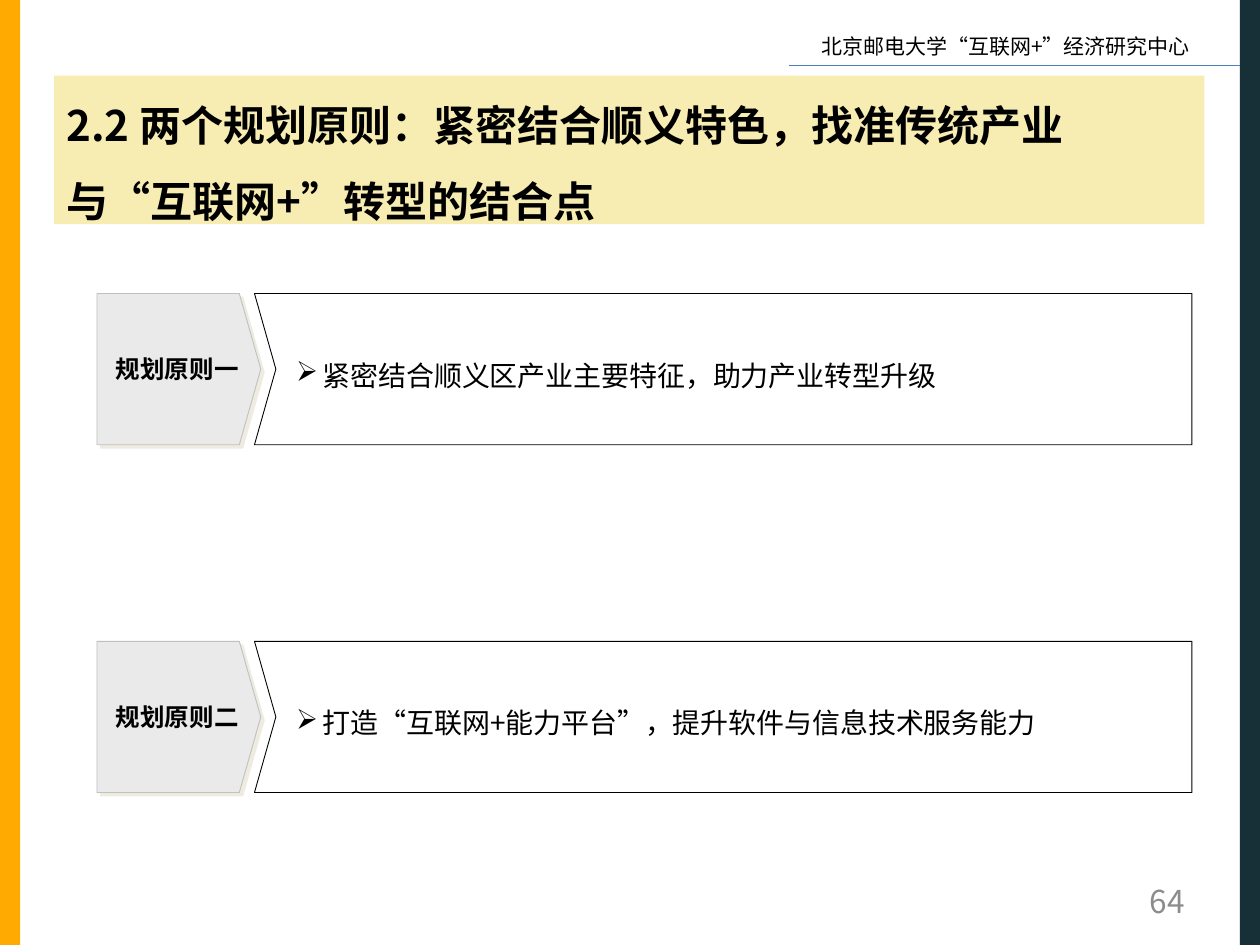
from lxml.etree import SubElement
from pptx import Presentation
from pptx.dml.color import RGBColor
from pptx.enum.shapes import MSO_CONNECTOR, MSO_SHAPE
from pptx.enum.text import MSO_ANCHOR, PP_ALIGN
from pptx.oxml.ns import qn
from pptx.util import Inches, Pt

BLACK = RGBColor(0x00, 0x00, 0x00)
ORANGE = RGBColor(0xFF, 0xAA, 0x00)
NAVY = RGBColor(0x17, 0x2F, 0x37)
BLUE = RGBColor(0x4B, 0x7E, 0xBC)
GOLD = RGBColor(0xE9, 0xCD, 0x23)
PALE = RGBColor(0xEA, 0xEA, 0xEA)
SILVER = RGBColor(0xC0, 0xC0, 0xC0)
GREY = RGBColor(0x8C, 0x8C, 0x8C)
CREAM = RGBColor(0xEE, 0xEC, 0xE1)
FONT = "Noto Sans CJK SC"


def add_run(para, text, size, color=BLACK, bold=False):
    """Add a styled run to a paragraph."""
    run = para.add_run()
    run.text = text
    font = run.font
    font.size, font.bold, font.name = Pt(size), bold, FONT
    font.color.rgb = color
    SubElement(run._r.get_or_add_rPr(), qn("a:ea"), typeface=FONT)


def add_text(slide, box, inset=True):
    """Add a wrapping text box and return its frame."""
    frame = slide.shapes.add_textbox(*map(Inches, box)).text_frame
    frame.word_wrap = True
    frame.vertical_anchor = MSO_ANCHOR.MIDDLE
    if not inset:
        frame.margin_left = frame.margin_right = 0
        frame.margin_top = frame.margin_bottom = 0
    return frame


def add_block(slide, box, fill, kind=MSO_SHAPE.RECTANGLE):
    """Add a plain filled shape without outline or shadow."""
    shape = slide.shapes.add_shape(kind, *map(Inches, box))
    shape.shadow.inherit = False
    shape.fill.solid()
    shape.fill.fore_color.rgb = fill
    shape.line.fill.background()
    return shape


def add_frame(slide, box):
    """Draw the side bands, header and header rule within the page box."""
    left, top, width, height = box
    band = 0.16
    right = left + width - band
    add_block(slide, (left, top, band, height), ORANGE)
    add_block(slide, (right, top, band, height), NAVY)
    frame = add_text(slide, (left + 6.42, top + 0.22, 3.23, 0.3))
    add_run(frame.paragraphs[0], "北京邮电大学“互联网+”经济研究中心", 12)
    rule = slide.shapes.add_connector(
        MSO_CONNECTOR.STRAIGHT, Inches(left + 6.26), Inches(top + 0.52),
        Inches(right), Inches(top + 0.52))
    rule.line.color.rgb = BLUE
    rule.line.width = Pt(0.75)
    SubElement(rule._element.spPr, qn("a:effectLst"))


def add_title(slide, box, text):
    """Draw the translucent title bar."""
    bar = add_block(slide, box, GOLD)
    color = bar.fill._xPr.find(qn("a:solidFill"))[0]
    SubElement(color, qn("a:alpha"), val="35000")
    frame = bar.text_frame
    frame.word_wrap = True
    frame.margin_right = Inches(0.9)
    frame.vertical_anchor = MSO_ANCHOR.MIDDLE
    para = frame.paragraphs[0]
    para.alignment = PP_ALIGN.LEFT
    para.line_spacing = 1.5
    add_run(para, text, 24, bold=True)


def add_shade(shape):
    """Give a shape a hard cream shadow to the lower right."""
    effects = shape._element.spPr.find(qn("a:effectLst"))
    shade = SubElement(effects, qn("a:outerShdw"), blurRad="0",
                       dist=str(Pt(2.8)), dir="2700000", algn="ctr",
                       rotWithShape="0")
    SubElement(shade, qn("a:srgbClr"), val=str(CREAM))


def add_rule(slide, box, label, text):
    """Draw one principle: a pentagon label and a notched panel."""
    left, top, width, height = box
    mid, right = top + height / 2, left + width
    tag = add_block(slide, (left, top, 1.3, height), PALE, MSO_SHAPE.PENTAGON)
    tag.adjustments[0] = 0.142
    tag.line.color.rgb = SILVER
    tag.line.width = Pt(0.5)
    add_shade(tag)
    frame = add_text(slide, (left + 0.15, mid - 0.12, 1.02, 0.24), False)
    add_run(frame.paragraphs[0], label, 14, bold=True)

    start = left + 1.25
    path = slide.shapes.build_freeform(Inches(right), Inches(top))
    points = [(start, top), (start + 0.17, mid),
              (start, top + height), (right, top + height)]
    path.add_line_segments([(Inches(x), Inches(y)) for x, y in points])
    panel = path.convert_to_shape()
    panel.shadow.inherit = False
    panel.fill.background()
    panel.line.color.rgb = BLACK
    panel.line.width = Pt(0.5)

    frame = add_text(slide, (start + 0.33, mid - 0.15, 6.95, 0.31), False)
    para = frame.paragraphs[0]
    para.line_spacing = 1.3
    props = para._p.get_or_add_pPr()
    props.set("marL", str(Inches(0.21)))
    props.set("indent", str(Inches(-0.21)))
    SubElement(props, qn("a:buChar"), char="➢")
    add_run(para, text, 16)


def add_number(slide, box, text):
    """Draw the page number."""
    para = add_text(slide, box).paragraphs[0]
    para.alignment = PP_ALIGN.RIGHT
    add_run(para, text, 18, GREY)


def main():
    """Build and save the slide."""
    deck = Presentation()
    deck.slide_width, deck.slide_height = Inches(10), Inches(7.5)
    slide = deck.slides.add_slide(deck.slide_layouts[6])
    add_frame(slide, (0, 0, 10, 7.5))
    add_title(slide, (0.43, 0.6, 9.13, 1.18),
              "2.2 两个规划原则：紧密结合顺义特色，找准传统产业与“互联网+”转型的结合点")
    add_number(slide, (7.17, 6.95, 2.33, 0.4), "64")
    rules = [("规划原则一", "紧密结合顺义区产业主要特征，助力产业转型升级"),
             ("规划原则二", "打造“互联网+能力平台”，提升软件与信息技术服务能力")]
    for i, (label, text) in enumerate(rules):
        add_rule(slide, (0.77, 2.33 + i * 2.76, 8.69, 1.2), label, text)
    deck.save("out.pptx")


if __name__ == "__main__":
    main()
